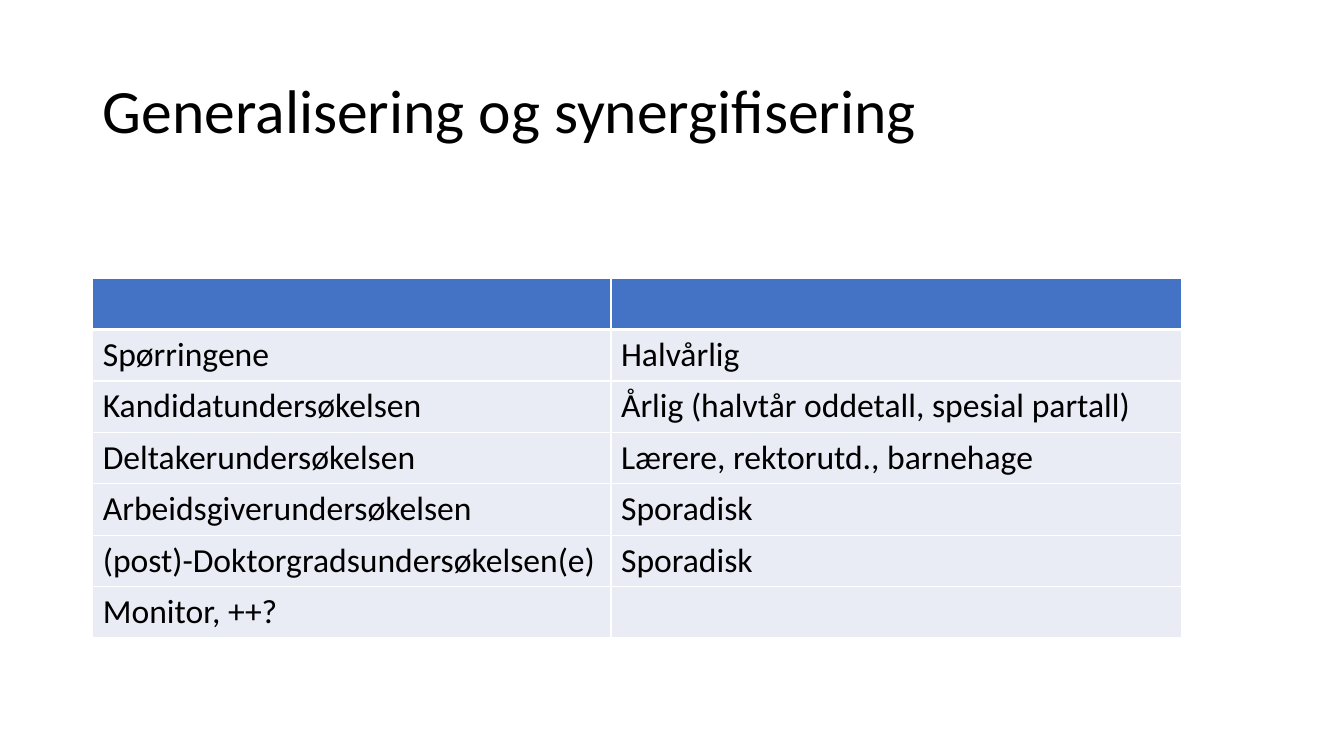
from dataclasses import dataclass

from lxml import etree
from pptx import Presentation
from pptx.dml.color import RGBColor
from pptx.enum.text import MSO_ANCHOR, PP_ALIGN
from pptx.oxml.ns import qn
from pptx.util import Inches, Pt

MIDDLE = MSO_ANCHOR.MIDDLE
TOP = MSO_ANCHOR.TOP
LEFT = PP_ALIGN.LEFT

# Content
TITLE = "Generalisering og synergifisering"
SURVEYS = [
    ("", ""),
    ("Spørringene", "Halvårlig"),
    ("Kandidatundersøkelsen", "Årlig (halvtår oddetall, spesial partall)"),
    ("Deltakerundersøkelsen", "Lærere, rektorutd., barnehage"),
    ("Arbeidsgiverundersøkelsen", "Sporadisk"),
    ("(post)-Doktorgradsundersøkelsen(e)", "Sporadisk"),
    ("Monitor, ++?", ""),
]
COLUMN_WIDTHS = (5.14, 5.66)
ROW_HEIGHT = 0.51
MARGIN = 0.92


@dataclass(frozen=True)
class Theme:
    font: str = "Calibri"
    ink: str = "000000"
    header: str = "4472C4"
    body: str = "E9EBF5"
    border: str = "FFFFFF"
    title_size: int = 44
    cell_size: int = 24
    thin: int = 1
    thick: int = 3


THEME = Theme()


def write_text(frame, text, *, size, anchor=TOP, spacing=1.0):
    frame.word_wrap = True
    frame.vertical_anchor = anchor
    para = frame.paragraphs[0]
    para.alignment = LEFT
    para.line_spacing = spacing
    para.font.size = Pt(size)
    if text:
        span = para.add_run()
        span.text = text
        span.font.name = THEME.font
        span.font.size = Pt(size)
        span.font.bold = False
        span.font.color.rgb = RGBColor.from_string(THEME.ink)


def set_borders(cell, top, bottom):
    """Border lines come before the fill in the cell properties."""
    properties = cell._tc.get_or_add_tcPr()
    sides = {"L": THEME.thin, "R": THEME.thin, "T": top, "B": bottom}
    for index, (side, width) in enumerate(sides.items()):
        line = etree.Element(qn(f"a:ln{side}"), w=str(Pt(width)))
        fill = etree.SubElement(line, qn("a:solidFill"))
        etree.SubElement(fill, qn("a:srgbClr"), val=THEME.border)
        properties.insert(index, line)


def add_title(page):
    box = page.shapes.title
    box.left, box.top = Inches(MARGIN), Inches(0.4)
    box.width, box.height = Inches(11.5), Inches(1.45)
    write_text(box.text_frame, TITLE, size=THEME.title_size, anchor=MIDDLE, spacing=0.9)


def add_survey_table(page):
    table = page.shapes.add_table(
        len(SURVEYS), len(COLUMN_WIDTHS), Inches(MARGIN), Inches(2.76),
        Inches(sum(COLUMN_WIDTHS)), Inches(ROW_HEIGHT * len(SURVEYS)),
    ).table
    table.horz_banding = False
    for column, width in zip(table.columns, COLUMN_WIDTHS):
        column.width = Inches(width)
    for row_index, texts in enumerate(SURVEYS):
        table.rows[row_index].height = Inches(ROW_HEIGHT)
        color = THEME.header if row_index == 0 else THEME.body
        top = THEME.thick if row_index == 1 else THEME.thin
        bottom = THEME.thick if row_index == 0 else THEME.thin
        for column_index, text in enumerate(texts):
            cell = table.cell(row_index, column_index)
            cell.fill.solid()
            cell.fill.fore_color.rgb = RGBColor.from_string(color)
            set_borders(cell, top, bottom)
            write_text(cell.text_frame, text, size=THEME.cell_size)


def main():
    deck = Presentation()
    deck.slide_width, deck.slide_height = Inches(13.33), Inches(7.5)
    page = deck.slides.add_slide(deck.slide_layouts[5])
    add_title(page)
    add_survey_table(page)
    deck.save("out.pptx")


if __name__ == "__main__":
    main()
